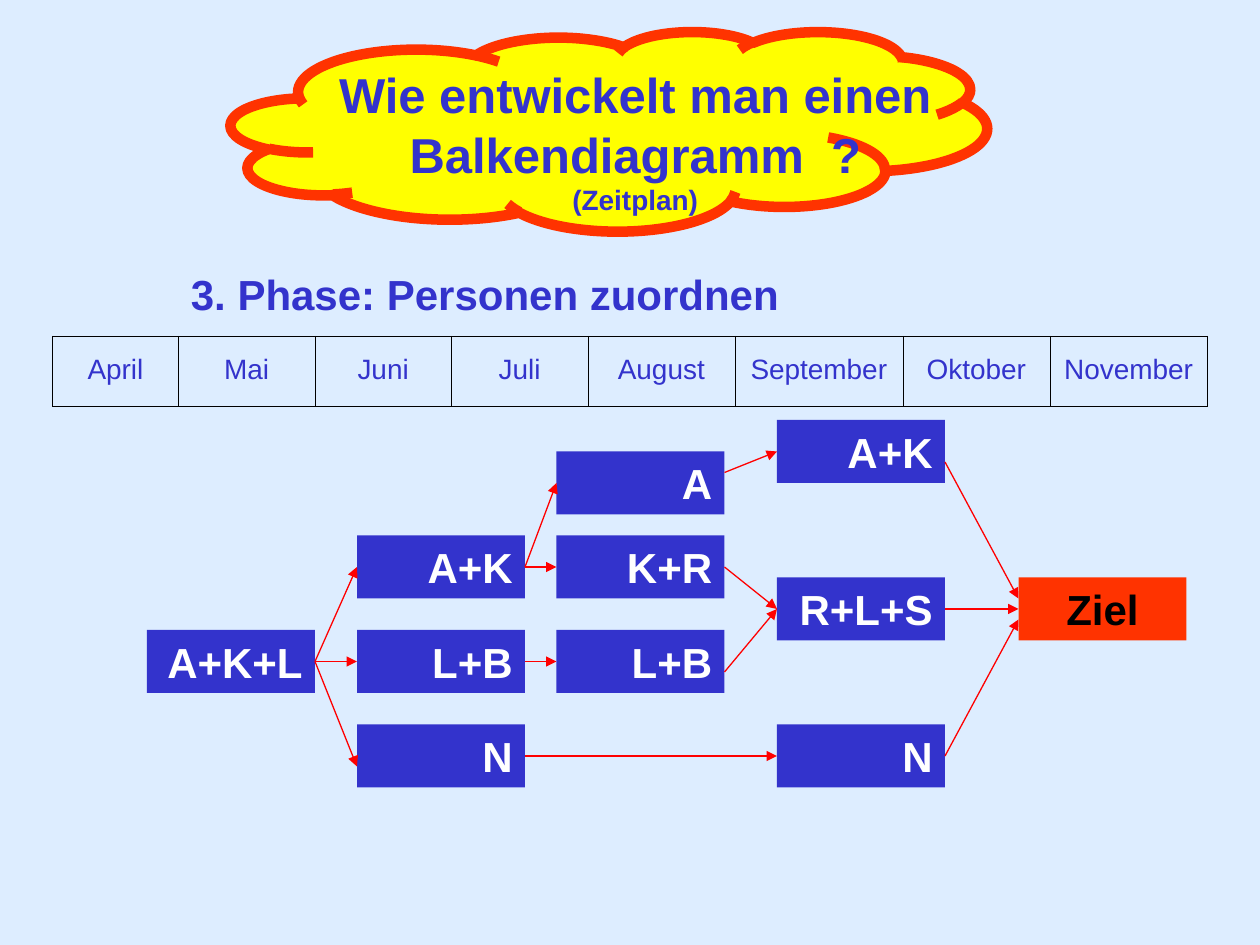
from lxml import etree
from pptx import Presentation
from pptx.dml.color import RGBColor
from pptx.enum.shapes import MSO_CONNECTOR, MSO_SHAPE
from pptx.enum.text import MSO_ANCHOR, MSO_AUTO_SIZE, PP_ALIGN
from pptx.oxml.ns import qn
from pptx.util import Inches, Pt

CENTER, LEFT, RIGHT = PP_ALIGN.CENTER, PP_ALIGN.LEFT, PP_ALIGN.RIGHT
TOP, MIDDLE = MSO_ANCHOR.TOP, MSO_ANCHOR.MIDDLE
GROW = MSO_AUTO_SIZE.SHAPE_TO_FIT_TEXT
CLOUD, RECTANGLE = MSO_SHAPE.CLOUD, MSO_SHAPE.RECTANGLE
STRAIGHT = MSO_CONNECTOR.STRAIGHT
LEFT_SIDE, RIGHT_SIDE = 1, 3

FONT = "Arial"
COLORS = {
    "background": "DDEDFF", "blue": "3333CC", "yellow": "FFFF00",
    "orange": "FF3300", "arrow": "FF0000", "white": "FFFFFF", "black": "000000",
}

# The slide is a grid of 120 columns and 90 rows, twelve to the inch
CELL = Inches(1) // 12
BOX_WIDTH, BOX_HEIGHT = 16, 6
MIDDLE_ROW = BOX_HEIGHT // 2

MONTHS = [("April", 12), ("Mai", 13), ("Juni", 13), ("Juli", 13),
          ("August", 14), ("September", 16), ("Oktober", 14), ("November", 15)]

# Task: (label, column, row)
TASKS = {
    "start": ("A+K+L", 14, 60),
    "june_top": ("A+K", 34, 51),
    "june_middle": ("L+B", 34, 60),
    "june_bottom": ("N", 34, 69),
    "august_top": ("A", 53, 43),
    "august_middle": ("K+R", 53, 51),
    "august_bottom": ("L+B", 53, 60),
    "september_top": ("A+K", 74, 40),
    "september_middle": ("R+L+S", 74, 55),
    "september_bottom": ("N", 74, 69),
    "goal": ("Ziel", 97, 55),
}

# Arrow: (from task, to task, row within the first, row within the second)
ARROWS = [
    ("start", "june_middle", 3, 3),
    ("start", "june_top", 3, 3),
    ("start", "june_bottom", 3, 4),
    ("june_middle", "august_bottom", 3, 3),
    ("june_top", "august_middle", 3, 3),
    ("june_top", "august_top", 3, 3),
    ("june_bottom", "september_bottom", 3, 3),
    ("august_top", "september_top", 2, 3),
    ("august_middle", "september_middle", 3, 3),
    ("august_bottom", "september_middle", 4, 3),
    ("september_top", "goal", 4, 2),
    ("september_middle", "goal", 3, 3),
    ("september_bottom", "goal", 3, 4),
]


def color(name):
    return RGBColor.from_string(COLORS[name])


def grid(*counts):
    return [round(count * CELL) for count in counts]


def format_paragraph(paragraph, size, color_name, align, before, bold=True, spacing=None):
    paragraph.alignment = align
    paragraph.space_before = Pt(before)
    if spacing:
        paragraph.line_spacing = spacing
    font = paragraph.font
    font.name, font.size, font.bold = FONT, Pt(size), bold
    font.color.rgb = color(color_name)


def format_frame(frame):
    frame.word_wrap = True
    frame.auto_size = GROW
    frame.vertical_anchor = TOP


def add_heading(slide, left, top, width, height):
    """Cloud with the title in front of it."""
    cloud = slide.shapes.add_shape(CLOUD, *grid(left, top, width, height))
    cloud.shadow.inherit = False
    cloud.fill.solid()
    cloud.fill.fore_color.rgb = color("yellow")
    cloud.line.color.rgb = color("orange")
    cloud.line.width = Pt(6)

    title = slide.shapes.title
    title.left, title.top, title.width, title.height = grid(
        left - 14, top + 5, width + 33, 13)
    cloud._element.addnext(title._element)
    frame = title.text_frame
    format_frame(frame)
    lines = [("Wie entwickelt man einen", 28, 17.5),
             ("Balkendiagramm  ?", 28, 17.5), ("(Zeitplan)", 16, 10)]
    frame.text = "\n".join(text for text, _, _ in lines)
    for paragraph, (_, size, before) in zip(frame.paragraphs, lines):
        format_paragraph(paragraph, size, "blue", CENTER, before, spacing=0.5)


def add_phase(slide, left, top, width, height):
    phase = slide.shapes.add_textbox(*grid(left, top, width, height))
    format_frame(phase.text_frame)
    phase.text_frame.text = "3. Phase: Personen zuordnen"
    format_paragraph(phase.text_frame.paragraphs[0], 24, "blue", LEFT, 15)


def add_cell_borders(cell):
    properties = cell._tc.get_or_add_tcPr()
    for index, side in enumerate(("lnL", "lnR", "lnT", "lnB")):
        line = etree.Element(qn(f"a:{side}"), w=str(Pt(0.25)))
        fill = etree.SubElement(line, qn("a:solidFill"))
        etree.SubElement(fill, qn("a:srgbClr"), val=COLORS["black"])
        properties.insert(index, line)


def add_months(slide, left, top, height):
    width = sum(columns for _, columns in MONTHS)
    table = slide.shapes.add_table(
        1, len(MONTHS), *grid(left, top, width, height)).table
    table.first_row = table.horz_banding = False
    for index, (month, columns) in enumerate(MONTHS):
        table.columns[index].width = columns * CELL
        cell = table.cell(0, index)
        cell.text = month
        cell.vertical_anchor = MIDDLE
        cell.fill.background()
        format_paragraph(cell.text_frame.paragraphs[0], 16, "blue", CENTER, 4,
                         bold=False, spacing=0.93)
        add_cell_borders(cell)


def add_task(slide, label, column, row, is_goal):
    box = slide.shapes.add_shape(RECTANGLE, *grid(column, row, BOX_WIDTH, BOX_HEIGHT))
    box.shadow.inherit = False
    box.fill.solid()
    box.fill.fore_color.rgb = color("orange" if is_goal else "blue")
    box.line.fill.background()
    format_frame(box.text_frame)
    box.text_frame.text = label
    format_paragraph(box.text_frame.paragraphs[0], 24,
                     "black" if is_goal else "white",
                     CENTER if is_goal else RIGHT, 15)
    return box


def add_arrow(slide, source, target, source_row, target_row):
    arrow = slide.shapes.add_connector(
        STRAIGHT, source.left + source.width, source.top + source_row * CELL,
        target.left, target.top + target_row * CELL)
    if source_row == MIDDLE_ROW:
        arrow.begin_connect(source, RIGHT_SIDE)
    if target_row == MIDDLE_ROW:
        arrow.end_connect(target, LEFT_SIDE)
    arrow.line.color.rgb = color("arrow")
    arrow.line.width = Pt(0.75)
    etree.SubElement(arrow.line._get_or_add_ln(), qn("a:tailEnd"), type="triangle")
    etree.SubElement(arrow._element.spPr, qn("a:effectLst"))


def add_network(slide):
    """Task boxes and the arrows between them."""
    boxes = {name: add_task(slide, *task, name == "goal")
             for name, task in TASKS.items()}
    for source, target, source_row, target_row in ARROWS:
        add_arrow(slide, boxes[source], boxes[target], source_row, target_row)


def main():
    presentation = Presentation()
    presentation.slide_width, presentation.slide_height = grid(120, 90)
    slide = presentation.slides.add_slide(presentation.slide_layouts[5])
    slide.background.fill.solid()
    slide.background.fill.fore_color.rgb = color("background")

    add_heading(slide, left=22, top=3, width=72, height=19)
    add_phase(slide, left=17, top=25, width=80, height=6)
    add_months(slide, left=5, top=32, height=6.7)
    add_network(slide)
    presentation.save("out.pptx")


if __name__ == "__main__":
    main()
